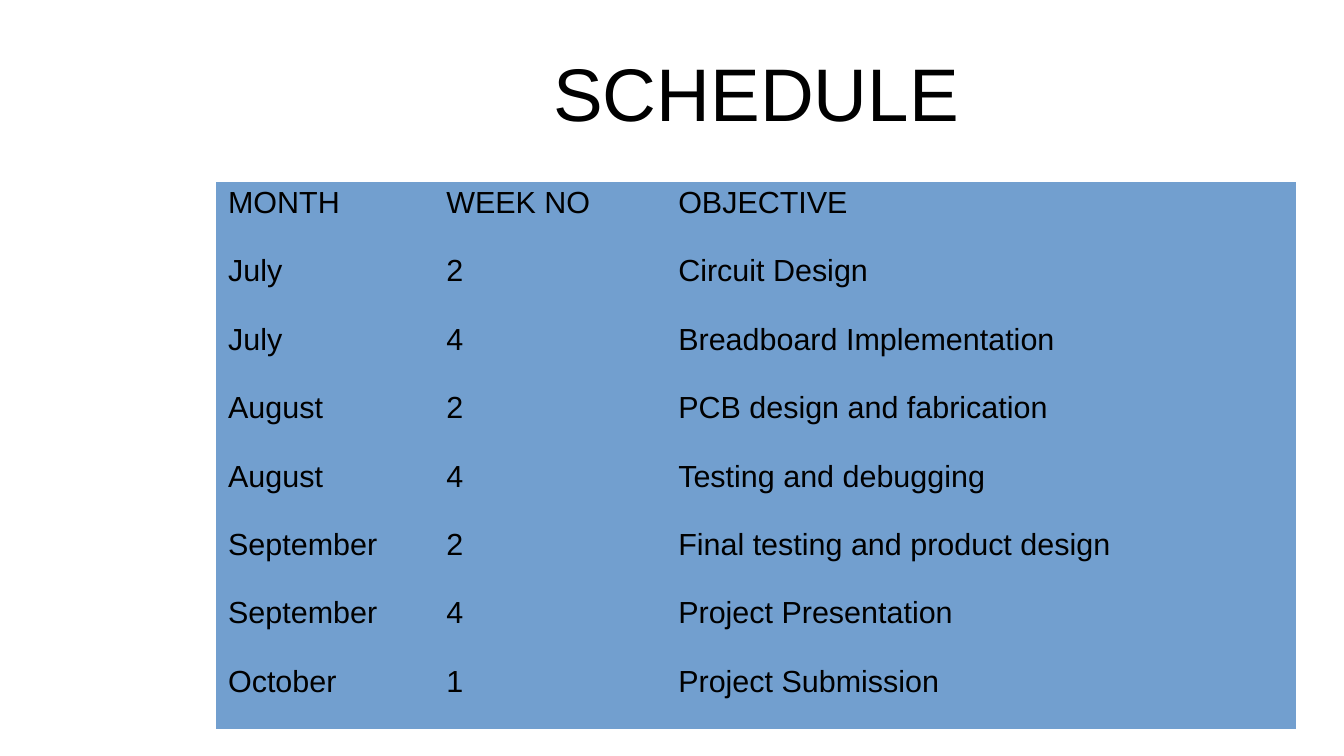
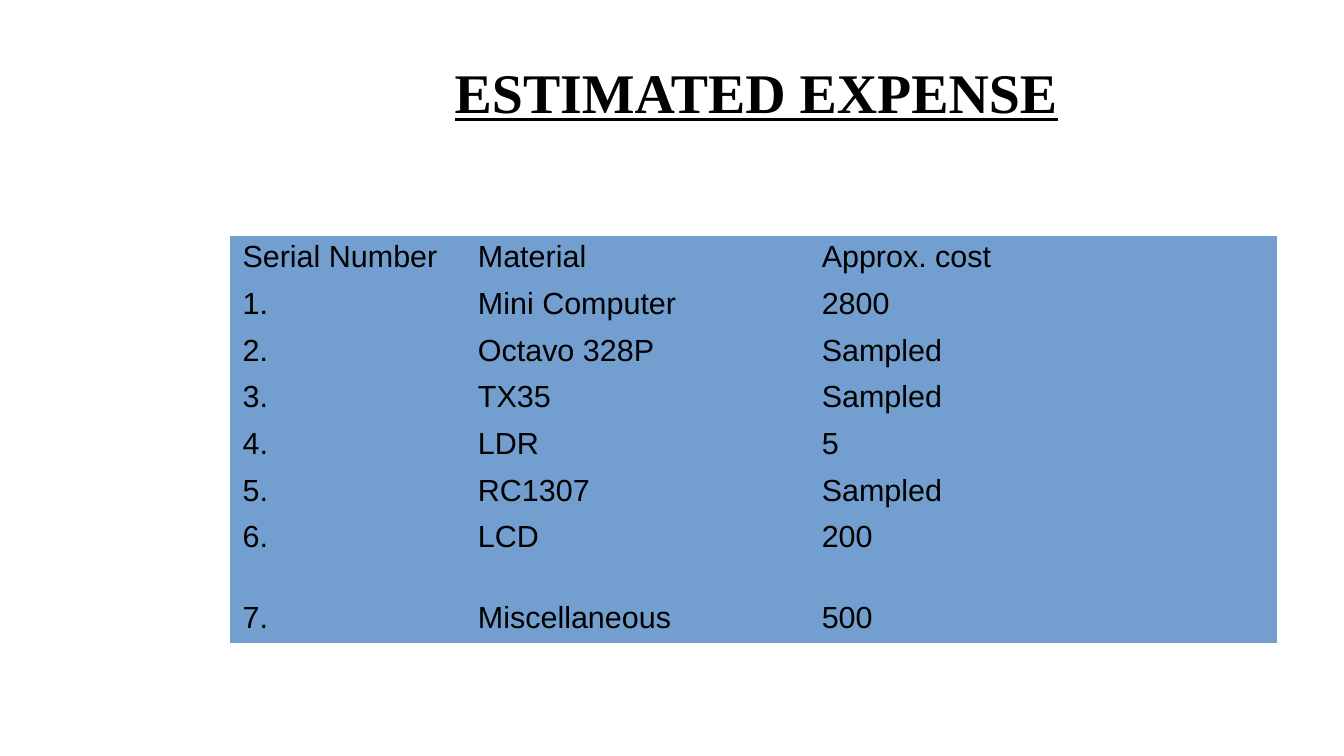
"""Build a project deck with a schedule table and an expense table."""

import pptx
import pptx.dml.color
import pptx.enum.text
import pptx.oxml.ns
import pptx.util

Pt = pptx.util.Pt

COLOURS = {"paper": "FFFFFF", "text": "000000", "cell": "729FCF"}
BODY_FONT = "Arial"
PLAIN_TABLE_STYLE = "{2D5ABB26-0587-4C30-8999-92F81FD0307C}"
TITLE_ONLY_LAYOUT = 5
LEFT = 127.5

SCHEDULE = [
    ("MONTH", "WEEK NO", "OBJECTIVE"),
    ("July", "2", "Circuit Design"),
    ("July", "4", "Breadboard Implementation"),
    ("August", "2", "PCB design and fabrication"),
    ("August", "4", "Testing and debugging"),
    ("September", "2", "Final testing and product design"),
    ("September", "4", "Project Presentation"),
    ("October", "1", "Project Submission"),
]

EXPENSES = [
    ("Serial Number", "Material", "Approx. cost"),
    ("1.", "Mini Computer", "2800"),
    ("2.", "Octavo 328P", "Sampled"),
    ("3.", "TX35", "Sampled"),
    ("4.", "LDR", "5"),
    ("5.", "RC1307", "Sampled"),
    ("6.", "LCD", "200"),
    ("7.", "Miscellaneous", "500"),
]


def colour(name):
    """Return the named palette colour."""
    return pptx.dml.color.RGBColor.from_string(COLOURS[name])


def format_runs(para, size, font=BODY_FONT, emphasis=False):
    """Apply size, typeface and emphasis to every run of a paragraph."""
    for span in para.runs:
        span.font.size = Pt(size)
        span.font.name = font
        span.font.bold = emphasis
        span.font.underline = emphasis
        span.font.color.rgb = colour("text")


def add_page(deck, title, size, font=BODY_FONT, emphasis=False):
    """Add a page with a centred title."""
    page = deck.slides.add_slide(deck.slide_layouts[TITLE_ONLY_LAYOUT])
    box = page.shapes.title
    box.left, box.top, box.width, box.height = map(Pt, (LEFT, 17.3, 638, 73.4))
    frame = box.text_frame
    frame.text = title
    frame.word_wrap = True
    frame.auto_size = pptx.enum.text.MSO_AUTO_SIZE.NONE
    frame.vertical_anchor = pptx.enum.text.MSO_ANCHOR.MIDDLE
    frame.margin_left = frame.margin_right = Pt(0)
    frame.margin_top = frame.margin_bottom = Pt(0)
    para = frame.paragraphs[0]
    para.alignment = pptx.enum.text.PP_ALIGN.CENTER
    format_runs(para, size, font, emphasis)
    return page


def fill_cell(cell, text):
    """Write and format one table cell."""
    cell.fill.solid()
    cell.fill.fore_color.rgb = colour("cell")
    cell.text_frame.text = text
    para = cell.text_frame.paragraphs[0]
    para.line_spacing = 0.93
    format_runs(para, 18)


def add_grid(page, left, top, widths, heights, records):
    """Add a borderless table of records."""
    graphic = page.shapes.add_table(
        len(heights), len(widths),
        Pt(left), Pt(top), Pt(sum(widths)), Pt(sum(heights)),
    )
    style = graphic.element.find(".//" + pptx.oxml.ns.qn("a:tableStyleId"))
    style.text = PLAIN_TABLE_STYLE
    table = graphic.table
    table.horz_banding = False
    for column, width in zip(table.columns, widths):
        column.width = Pt(width)
    for row, height, record in zip(table.rows, heights, records):
        row.height = Pt(height)
        for cell, text in zip(row.cells, record):
            fill_cell(cell, text)


def main():
    """Build and save the deck."""
    deck = pptx.Presentation()
    deck.slide_width, deck.slide_height = Pt(793.5), Pt(446.4)
    background = deck.slide_master.background.fill
    background.solid()
    background.fore_color.rgb = colour("paper")

    page = add_page(deck, "SCHEDULE", 44)
    add_grid(page, LEFT, 107.5, [128.8, 137, 372], [40.4] * 8, SCHEDULE)

    page = add_page(deck, "ESTIMATED EXPENSE", 33, "Times New Roman", True)
    heights = [27.6] * 6 + [47.5, 27.6]
    add_grid(page, 136, 139.4, [139, 203, 275.8], heights, EXPENSES)

    deck.save("out.pptx")


if __name__ == "__main__":
    main()
